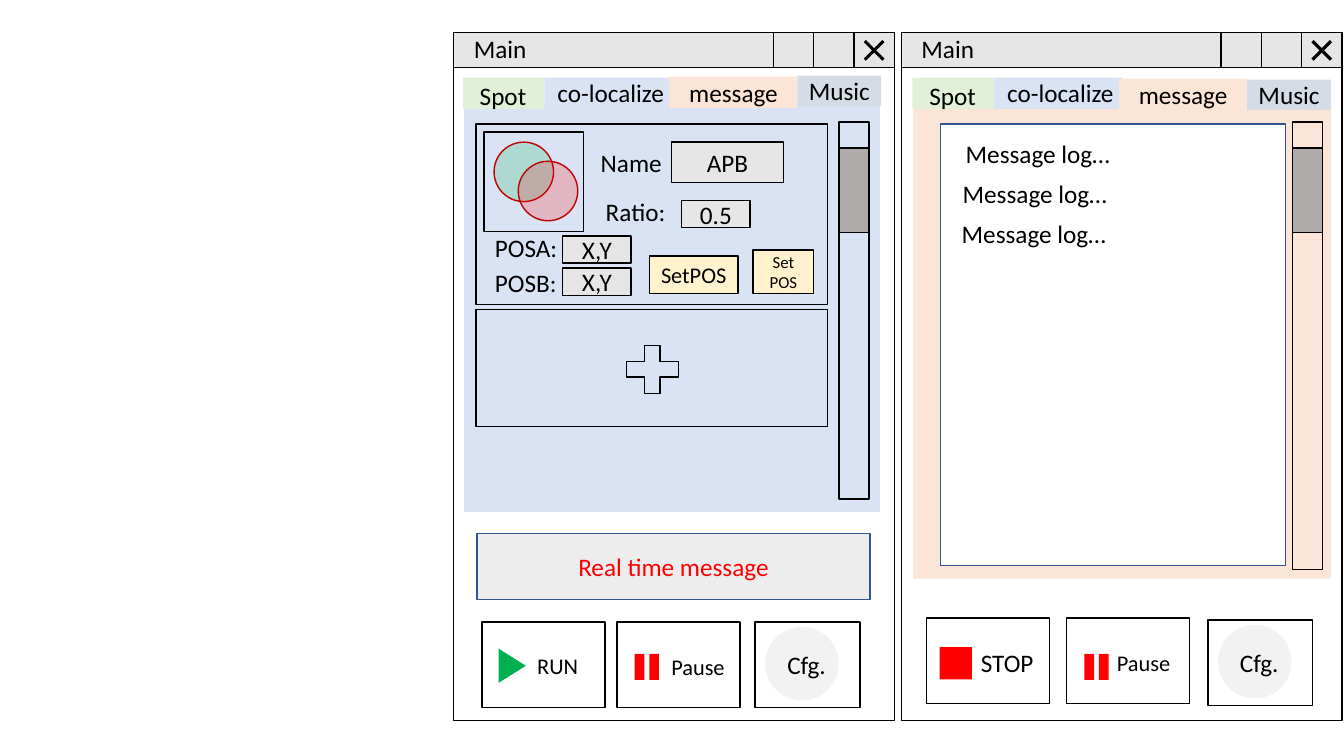
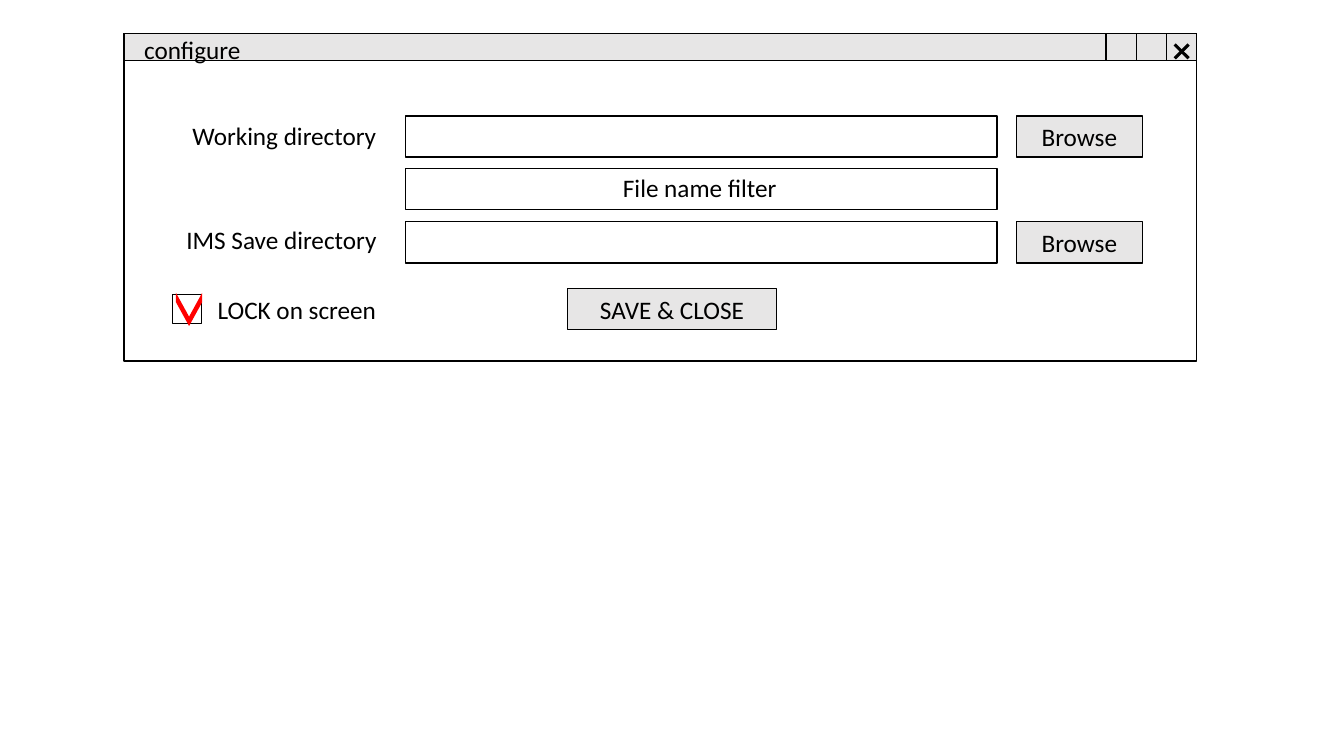
from dataclasses import dataclass

from pptx import Presentation
from pptx import util as u
from pptx.dml.color import RGBColor
from pptx.enum import shapes, text
from pptx.oxml.ns import qn
from pptx.oxml.xmlchemy import OxmlElement

SHAPE = shapes.MSO_SHAPE


@dataclass(frozen=True)
class Theme:
    font: str = "Calibri"
    body: int = 18
    small: int = 16
    tiny: int = 12
    ink: str = "000000"
    white: str = "FFFFFF"
    gray: str = "E7E6E6"
    thumb: str = "AFABAB"
    dial: str = "F2F2F2"
    banner: str = "EDEDED"
    green_tab: str = "E2F0D9"
    blue_tab: str = "DAE3F3"
    orange_tab: str = "FBE5D6"
    slate_tab: str = "D6DCE5"
    yellow: str = "FFF2CC"
    frame: str = "325491"
    red: str = "FF0000"
    green: str = "00B050"
    ring: str = "C00000"
    hairline: float = 1
    cross: float = 2.25


THEME = Theme()


class Mockup:
    """Draws window sketches on the current slide; lengths are in inches."""

    def __init__(self, theme):
        self.theme = theme
        self.deck = Presentation()
        self.deck.slide_width = u.Inches(13.33)
        self.deck.slide_height = u.Inches(7.5)

    def new_slide(self):
        self.slide = self.deck.slides.add_slide(self.deck.slide_layouts[5])
        self.title = self.slide.shapes.title

    def set_words(self, frame, words, size, color, align):
        frame.text = words
        for paragraph in frame.paragraphs:
            paragraph.alignment = align
            for run in paragraph.runs:
                run.font.name = self.theme.font
                run.font.size = u.Pt(size)
                run.font.color.rgb = RGBColor.from_string(color)

    def shape(self, kind, left, top, width, height, fill=None, line=None,
              alpha=None, rotation=0):
        item = self.slide.shapes.add_shape(
            kind, *map(u.Inches, (left, top, width, height)))
        item.shadow.inherit = False
        item.rotation = rotation
        if fill:
            item.fill.solid()
            item.fill.fore_color.rgb = RGBColor.from_string(fill)
        else:
            item.fill.background()
        if alpha:
            opacity = OxmlElement("a:alpha")
            opacity.set("val", str(alpha * 1000))
            item.element.spPr.find(".//" + qn("a:srgbClr")).append(opacity)
        if line:
            item.line.color.rgb = RGBColor.from_string(line)
            item.line.width = u.Pt(self.theme.hairline)
        else:
            item.line.fill.background()
        return item

    def outline(self, left, top, width, height, fill=None):
        return self.shape(SHAPE.RECTANGLE, left, top, width, height, fill,
                          self.theme.ink)

    def box(self, words, left, top, width, height, fill, line=None, size=None,
            color=None):
        """Rectangle with centred text."""
        item = self.shape(SHAPE.RECTANGLE, left, top, width, height, fill, line)
        item.text_frame.vertical_anchor = text.MSO_ANCHOR.MIDDLE
        self.set_words(item.text_frame, words, size or self.theme.body,
                       color or self.theme.ink, text.PP_ALIGN.CENTER)

    def button(self, words, left, top, width, height, fill=None, size=None):
        self.box(words, left, top, width, height, fill or self.theme.gray,
                 self.theme.ink, size)

    def label(self, words, left, top, width, size=None, wrap=False,
              holder=None):
        size = size or self.theme.body
        place = [u.Inches(n) for n in
                 (left, top, width, 0.4 if size == self.theme.body else 0.37)]
        if holder:
            holder.left, holder.top, holder.width, holder.height = place
            holder.element.getparent().append(holder.element)
        else:
            holder = self.slide.shapes.add_textbox(*place)
        frame = holder.text_frame
        frame.vertical_anchor = text.MSO_ANCHOR.TOP
        frame.word_wrap = wrap
        frame.auto_size = text.MSO_AUTO_SIZE.SHAPE_TO_FIT_TEXT
        self.set_words(frame, words, size, self.theme.ink, text.PP_ALIGN.LEFT)

    def stroke(self, x1, y1, x2, y2):
        line = self.slide.shapes.add_connector(
            shapes.MSO_CONNECTOR.STRAIGHT, *map(u.Inches, (x1, y1, x2, y2)))
        line.line.color.rgb = RGBColor.from_string(self.theme.ink)
        line.line.width = u.Pt(self.theme.cross)
        line.element.spPr.append(OxmlElement("a:effectLst"))

    def window(self, name, left, top, width, height, bar, cell):
        """Frame, title bar, three corner cells and a closing cross."""
        self.outline(left, top, width, height)
        self.outline(left, top, width, bar, self.theme.gray)
        right = left + width
        for position in (1, 2, 3):
            self.outline(right - position * cell, top, cell, bar)
        x, y, arm = right - cell / 2, top + 0.18, cell * 0.23
        self.stroke(x - arm, y - arm, x + arm, y + arm)
        self.stroke(x - arm, y + arm, x + arm, y - arm)
        self.label(name, left + 0.1, top - 0.04, 1.78, wrap=True,
                   holder=self.title)
        self.title = None

    def main_window(self, left):
        self.window("Main", left, 0.32, 4.37, 6.83, 0.35, 0.4)

    def tabs(self, left, message_top, music_top):
        t = self.theme
        self.shape(SHAPE.RECTANGLE, left, 0.77, 0.81, 0.31, t.green_tab)
        self.shape(SHAPE.RECTANGLE, left + 0.81, 0.77, 1.27, 0.31, t.blue_tab)
        self.label("co-localize", left + 0.84, 0.72, 1.27)
        self.label("Spot", left + 0.07, 0.75, 0.67)
        self.box("message", left + 2.05, message_top, 1.27, 0.31, t.orange_tab)
        self.box("Music", left + 3.32, music_top, 0.83, 0.3, t.slate_tab)

    def scrollbar(self, left, height):
        self.outline(left, 1.21, 0.3, height)
        self.outline(left, 1.47, 0.3, 0.84, self.theme.thumb)

    def pause(self, left, top, icon_top, caption_left):
        self.outline(left, top, 1.22, 0.85)
        self.shape(SHAPE.MATH_EQUAL, left + 0.12, icon_top, 0.35, 0.41,
                   self.theme.red, rotation=90)
        self.label("Pause", caption_left, top + 0.26, 0.74, self.theme.small,
                   wrap=True)

    def settings(self, left, top):
        self.outline(left, top, 1.04, 0.85)
        self.shape(SHAPE.OVAL, left + 0.1, top + 0.05, 0.73, 0.73,
                   self.theme.dial)
        self.label("Cfg.", left + 0.22, top + 0.22, 0.59)


def colocalize_window(m):
    t = m.theme
    m.shape(SHAPE.RECTANGLE, 4.59, 1.04, 4.15, 4.05, t.blue_tab, t.white)
    m.main_window(4.5)
    m.tabs(4.59, 0.76, 0.75)
    m.scrollbar(8.32, 3.74)

    m.outline(4.72, 1.23, 3.49, 1.79)
    m.outline(4.8, 1.31, 0.99, 0.99)
    for left, top, color in ((4.9, 1.41, t.green), (5.14, 1.6, t.red)):
        m.shape(SHAPE.OVAL, left, top, 0.59, 0.59, color, t.ring, alpha=20)
    m.label("Name", 5.86, 1.41, 0.81)
    m.button("APB", 6.66, 1.41, 1.11, 0.4)
    m.label("Ratio:", 5.91, 1.9, 0.8)
    m.button("0.5", 6.76, 1.99, 0.68, 0.27)
    for point, label_top, value_top in (("POSA:", 2.26, 2.34),
                                        ("POSB:", 2.6, 2.66)):
        m.label(point, 4.81, label_top, 0.83)
        m.button("X,Y", 5.58, value_top, 0.68, 0.27)
    m.button("SetPOS", 6.44, 2.54, 0.88, 0.37, t.yellow, t.small)
    m.button("Set\nPOS", 7.47, 2.48, 0.6, 0.43, t.yellow, t.tiny)

    m.outline(4.72, 3.07, 3.49, 1.16)
    m.shape(SHAPE.MATH_PLUS, 6.12, 3.34, 0.7, 0.65, line=t.ink)

    m.box("Real time message", 4.73, 5.29, 3.9, 0.66, t.banner, t.frame,
          color=t.red)
    m.outline(4.78, 6.17, 1.22, 0.85)
    m.shape(SHAPE.ISOSCELES_TRIANGLE, 4.91, 6.47, 0.34, 0.27, t.green,
            rotation=90)
    m.label("RUN", 5.23, 6.42, 0.69, t.small, wrap=True)
    m.pause(6.12, 6.17, 6.41, 6.56)
    m.settings(7.49, 6.17)


def message_window(m):
    t = m.theme
    m.shape(SHAPE.RECTANGLE, 9.06, 1.06, 4.14, 4.68, t.orange_tab)
    m.main_window(8.94)
    m.tabs(9.05, 0.78, 0.79)
    m.scrollbar(12.82, 4.44)

    m.shape(SHAPE.RECTANGLE, 9.33, 1.23, 3.42, 4.38, t.white, t.frame)
    for row, left in enumerate((9.48, 9.45, 9.44)):
        m.label("Message log…", left, 1.32 + row * 0.4, 1.66)

    m.outline(9.19, 6.13, 1.22, 0.85)
    m.shape(SHAPE.RECTANGLE, 9.32, 6.42, 0.32, 0.32, t.red)
    m.label("STOP", 9.63, 6.37, 0.73)
    m.pause(10.58, 6.13, 6.41, 10.98)
    m.settings(11.98, 6.15)


def configure_window(m):
    t = m.theme
    m.window("configure", 1.23, 0.33, 10.64, 3.25, 0.27, 0.3)
    for top in (1.15, 1.67, 2.2):
        m.outline(4.02, top, 5.87, 0.41)
    for top in (1.15, 2.2):
        m.button("Browse", 10.08, top, 1.25, 0.41)
    m.label("Working directory", 1.81, 1.14, 2.05)
    m.label("File name filter", 6.08, 1.66, 1.75)
    m.label("IMS Save directory", 1.75, 2.18, 2.11)

    m.outline(1.71, 2.92, 0.29, 0.29, t.white)
    tick = m.shape(SHAPE.CHEVRON, 1.71, 2.94, 0.33, 0.26, t.red, rotation=90)
    tick.adjustments[0] = 0.91
    m.label("LOCK on screen", 2.06, 2.87, 1.79)
    m.button("SAVE & CLOSE", 5.63, 2.86, 2.07, 0.41)


def main():
    mockup = Mockup(THEME)
    mockup.new_slide()
    colocalize_window(mockup)
    message_window(mockup)
    mockup.new_slide()
    configure_window(mockup)
    mockup.deck.save("out.pptx")


if __name__ == "__main__":
    main()
